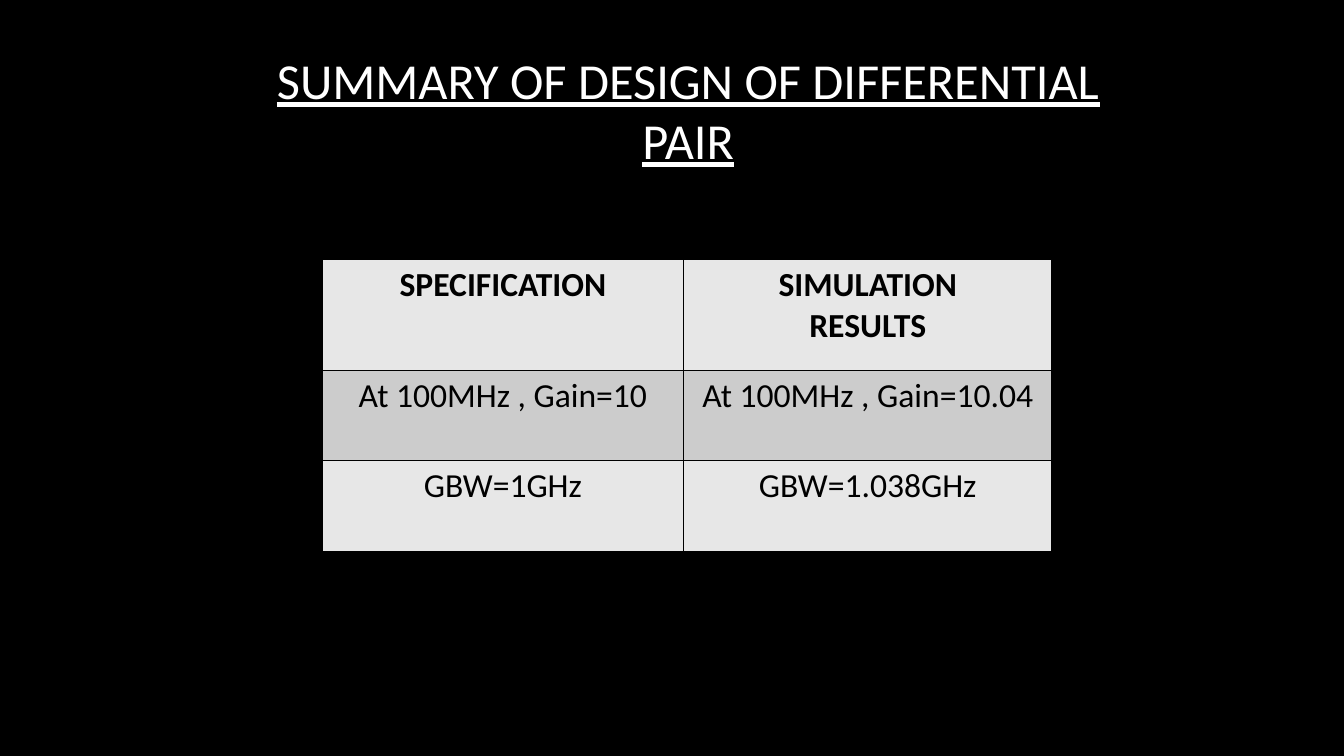
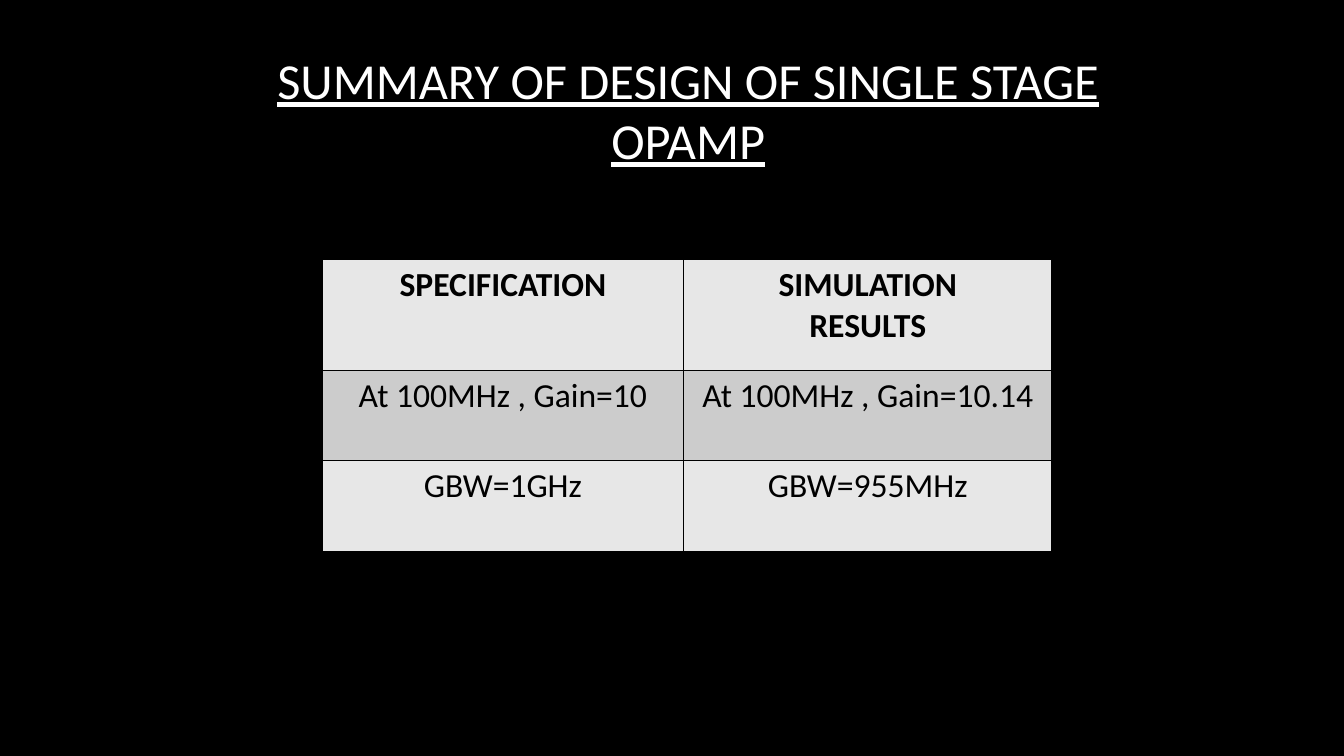
"""Build two summary slides comparing specifications with simulation results."""
from dataclasses import dataclass

from pptx import Presentation
from pptx.dml.color import RGBColor
from pptx.enum.text import MSO_AUTO_SIZE as AutoSize, PP_ALIGN as Align
from pptx.oxml.ns import qn
from pptx.oxml.xmlchemy import OxmlElement
from pptx.presentation import Presentation as Deck
from pptx.slide import Slide
from pptx.table import _Cell as Cell
from pptx.text.text import TextFrame
from pptx.util import Emu, Pt

BLACK = RGBColor(0x00, 0x00, 0x00)
WHITE = RGBColor(0xFF, 0xFF, 0xFF)
LIGHT_GREY = RGBColor(0xE7, 0xE7, 0xE7)
MID_GREY = RGBColor(0xCC, 0xCC, 0xCC)
FONT = "Calibri"
HEADER = ("SPECIFICATION", "SIMULATION\nRESULTS")
COLUMN_WIDTHS = (344, 351)
ROW_HEIGHTS = (106, 86, 86)


@dataclass(frozen=True)
class Summary:
    title: str
    results: tuple[tuple[str, str], ...]


SUMMARIES = (
    Summary(
        "SUMMARY OF DESIGN OF DIFFERENTIAL PAIR",
        (("At 100MHz , Gain=10", "At 100MHz , Gain=10.04"),
         ("GBW=1GHz", "GBW=1.038GHz")),
    ),
    Summary(
        "SUMMARY OF DESIGN OF SINGLE STAGE OPAMP",
        (("At 100MHz , Gain=10", "At 100MHz , Gain=10.14"),
         ("GBW=1GHz", "GBW=955MHz")),
    ),
)


def px(length: int) -> Emu:
    return Emu(length * 9525)


def write(frame: TextFrame, text: str, size: int, color: RGBColor,
          bold: bool = False, underline: bool = False) -> None:
    frame.text = text
    for para in frame.paragraphs:
        para.alignment = Align.CENTER
        for span in para.runs:
            font = span.font
            font.name, font.size = FONT, Pt(size)
            font.bold, font.underline = bold, underline
            font.color.rgb = color


def add_borders(cell: Cell) -> None:
    properties = cell._tc.get_or_add_tcPr()
    for side in ("a:lnL", "a:lnR", "a:lnT", "a:lnB"):
        line = OxmlElement(side)
        line.set("w", str(Pt(1)))
        fill = OxmlElement("a:solidFill")
        color = OxmlElement("a:srgbClr")
        color.set("val", str(BLACK))
        fill.append(color)
        line.append(fill)
        properties.append(line)


def add_title(page: Slide, text: str) -> None:
    box = page.shapes.add_textbox(px(227), px(42), px(857), px(126))
    frame = box.text_frame
    frame.word_wrap = True
    frame.auto_size = AutoSize.SHAPE_TO_FIT_TEXT
    write(frame, text, 36, WHITE, underline=True)


def add_results(page: Slide, results: tuple[tuple[str, str], ...]) -> None:
    rows = (HEADER, *results)
    table = page.shapes.add_table(
        len(rows), len(HEADER), px(307), px(247),
        px(sum(COLUMN_WIDTHS)), px(sum(ROW_HEIGHTS))).table
    for column, width in zip(table.columns, COLUMN_WIDTHS):
        column.width = px(width)
    for row, height in zip(table.rows, ROW_HEIGHTS):
        row.height = px(height)
    for row_index, texts in enumerate(rows):
        for column_index, text in enumerate(texts):
            cell = table.cell(row_index, column_index)
            add_borders(cell)
            cell.fill.solid()
            cell.fill.fore_color.rgb = MID_GREY if row_index % 2 else LIGHT_GREY
            write(cell.text_frame, text, 24, BLACK, bold=row_index == 0)


def add_summary(deck: Deck, summary: Summary) -> None:
    page = deck.slides.add_slide(deck.slide_layouts[6])
    page.background.fill.solid()
    page.background.fill.fore_color.rgb = BLACK
    add_results(page, summary.results)
    add_title(page, summary.title)


def main() -> None:
    deck = Presentation()
    deck.slide_width, deck.slide_height = px(1280), px(720)
    for summary in SUMMARIES:
        add_summary(deck, summary)
    deck.save("out.pptx")


if __name__ == "__main__":
    main()
